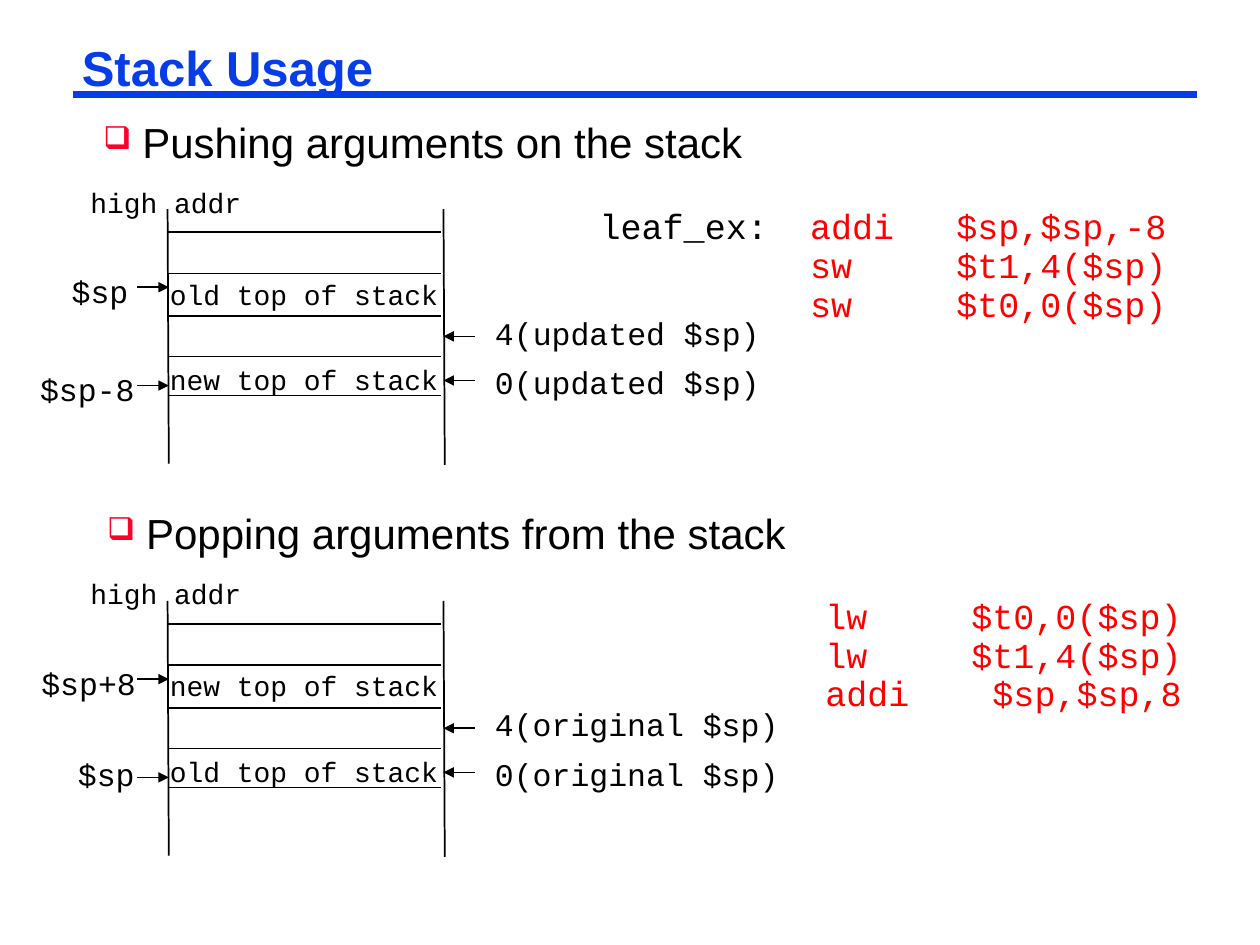
from pptx import Presentation
from pptx.dml.color import RGBColor
from pptx.enum.shapes import MSO_CONNECTOR
from pptx.util import Inches, Pt
from pptx.oxml import parse_xml
from pptx.oxml.ns import nsdecls

BLACK, BLUE, RED, BULLET_RED = "000000", "063DE8", "FF0000", "FC0128"
TIGHT = (0.07, 0.03)

prs = Presentation()
prs.slide_width, prs.slide_height = Inches(10), Inches(7.5)
slide = prs.slides.add_slide(prs.slide_layouts[6])


def add_text(lines, left, top, width, height, size=18, font="Courier New",
             color=BLACK, bold=False, wrap=False, inset=(0.1, 0.05),
             spacing=None, before=None, bullet=None, tabs=()):
    """Each line is a list of (text, colour) runs or a plain string."""
    frame = slide.shapes.add_textbox(
        Inches(left), Inches(top), Inches(width), Inches(height)).text_frame
    frame.word_wrap = wrap
    frame.margin_left = frame.margin_right = Inches(inset[0])
    frame.margin_top = frame.margin_bottom = Inches(inset[1])
    for i, line in enumerate(lines):
        para = frame.add_paragraph() if i else frame.paragraphs[0]
        props = para._p.get_or_add_pPr()
        if bullet:
            props.set("marL", str(Inches(0.31)))
            props.set("indent", str(-Inches(0.31)))
            for xml in (f'<a:buClr {nsdecls("a")}><a:srgbClr val="{BULLET_RED}"/></a:buClr>',
                        f'<a:buSzPct {nsdecls("a")} val="75000"/>',
                        f'<a:buChar {nsdecls("a")} char="{bullet}"/>'):
                props.append(parse_xml(xml))
        if tabs:
            stops = "".join(f'<a:tab pos="{Inches(pos)}" algn="{align}"/>'
                            for pos, align in tabs)
            props.append(parse_xml(f'<a:tabLst {nsdecls("a")}>{stops}</a:tabLst>'))
        if spacing:
            para.line_spacing = spacing
        if before and i:
            para.space_before = Pt(before)
        for text, run_color in [(line, color)] if isinstance(line, str) else line:
            run = para.add_run()
            run.text = text
            run.font.size, run.font.name, run.font.bold = Pt(size), font, bold
            run.font.color.rgb = RGBColor.from_string(run_color)


def add_line(x1, y1, x2, y2, color=BLACK, weight=1, arrow=False):
    line = slide.shapes.add_connector(
        MSO_CONNECTOR.STRAIGHT, Inches(x1), Inches(y1), Inches(x2), Inches(y2))
    line.line.color.rgb = RGBColor.from_string(color)
    line.line.width = Pt(weight)
    if arrow:
        line.line._get_or_add_ln().append(
            parse_xml(f'<a:tailEnd {nsdecls("a")} type="triangle"/>'))
    line._element.spPr.append(parse_xml(f'<a:effectLst {nsdecls("a")}/>'))


# Title and rule
add_line(0.58, 0.75, 9.5, 0.75, BLUE, 4.5)
add_text(["Stack Usage"], 0.58, 0.33, 8.92, 0.46, size=28, font="Arial",
         color=BLUE, bold=True, wrap=True, inset=TIGHT, spacing=0.87)

# Section headings
for heading, left, top in (("Pushing arguments on the stack", 0.75, 0.94),
                           ("Popping arguments from the stack", 0.78, 4.04)):
    add_text([heading], left, top, 8.58, 0.45, size=24, font="Arial", wrap=True,
             inset=TIGHT, spacing=0.9, bullet="\u2751")

# Assembly code, with operands aligned at a right tab
push_code = [[("leaf_ex:", BLACK), ("\taddi\t$sp,$sp,-8", RED)],
             "\tsw\t$t1,4($sp)", "\tsw\t$t0,0($sp)"]
pop_code = ["lw\t$t0,0($sp)", "lw\t$t1,4($sp)", "addi\t$sp,$sp,8"]
for code, left, top, tabs in (
        (push_code, 4.76, 1.66, ((1.67, "l"), (4.5, "r"))),
        (pop_code, 6.55, 4.75, ((2.83, "r"),))):
    add_text(code, left, top, 9.5 - left, 0.95, size=20, color=RED, wrap=True,
             inset=(0, 0.03), spacing=0.8, before=3, tabs=tabs)

# Stack diagrams: offset, slot names, pointers (text, left, top, width), base
stacks = (
    (0, "old top of stack", "new top of stack",
     (("$sp", 0.47, 2.11, 0.65), ("$sp-8", 0.22, 2.89, 0.96)), "updated", 2.31),
    (3.11, "new top of stack", "old top of stack",
     (("$sp+8", 0.23, 5.22, 0.96), ("$sp", 0.52, 5.94, 0.65)), "original", 2.46),
)
for dy, upper_slot, lower_slot, pointers, base, base_width in stacks:
    # Walls and slot borders
    add_line(1.33, 1.66 + dy, 1.34, 3.68 + dy)
    add_line(3.52, 1.66 + dy, 3.53, 3.69 + dy)
    for y in (1.84, 2.17, 2.51, 2.83, 3.14):
        add_line(1.33, y + dy, 3.5, y + dy)

    # Slot names
    add_text(["high addr"], 0.62, 1.42 + dy, 1.4, 0.37, size=16)
    for slot, y in ((upper_slot, 2.15), (lower_slot, 2.83)):
        add_text([slot], 1.25, y + dy, 2.36, 0.37, size=16)

    # Stack pointers on the left
    for (pointer, left, top, width), y in zip(pointers, (2.28, 3.06)):
        add_text([pointer], left, top, width, 0.4)
        add_line(1.09, y + dy, 1.34, y + dy, arrow=True)

    # Word addresses on the right
    for word, top, y in ((4, 2.44, 2.67), (0, 2.83, 3.02)):
        add_text([f"{word}({base} $sp)"], 3.83, top + dy, base_width, 0.4)
        add_line(3.77, y + dy, 3.52, y + dy, arrow=True)

prs.save("out.pptx")
